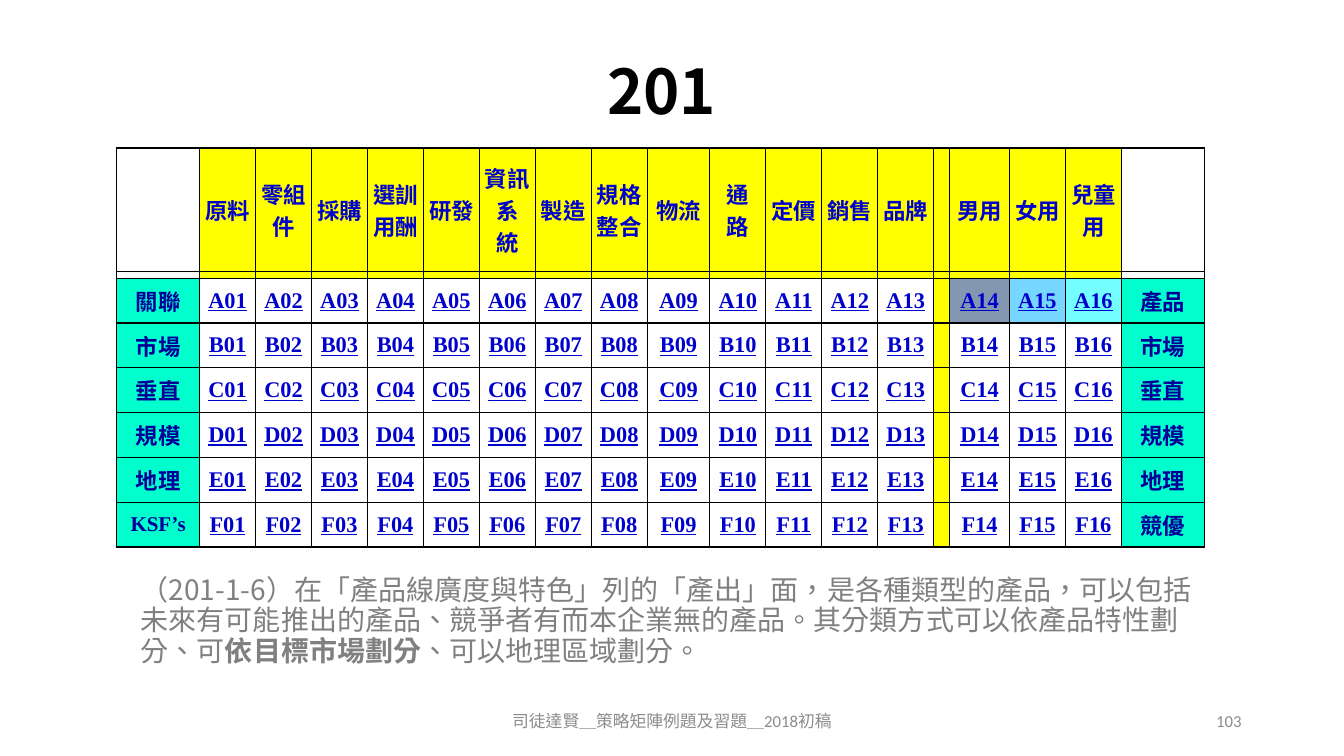
import lxml.etree
import pptx
import pptx.dml.color
import pptx.enum.text
import pptx.oxml.ns
import pptx.util

Cm = pptx.util.Cm
Pt = pptx.util.Pt
RGBColor = pptx.dml.color.RGBColor
ALIGN = pptx.enum.text.PP_ALIGN
MIDDLE = pptx.enum.text.MSO_ANCHOR.MIDDLE
qn = pptx.oxml.ns.qn

BLACK = RGBColor(0x00, 0x00, 0x00)
GREY = RGBColor(0x80, 0x80, 0x80)
FOOTER_GREY = RGBColor(0x8C, 0x8C, 0x8C)
YELLOW = RGBColor(0xFF, 0xFF, 0x00)
MINT = RGBColor(0x00, 0xFF, 0xCC)
NAVY = RGBColor(0x00, 0x00, 0x99)
LINK_BLUE = RGBColor(0x00, 0x00, 0xCC)
PRODUCT_FILLS = {
    "A14": RGBColor(0x84, 0x97, 0xB0),
    "A15": RGBColor(0x76, 0xD6, 0xFF),
    "A16": RGBColor(0x73, 0xFE, 0xFF),
}

SANS, SERIF, CJK = "Calibri", "Times New Roman", "Noto Sans CJK SC"
TABLE_GRID_STYLE = "{5940675A-B579-460E-94D1-54222C63F5DA}"

ACTIVITIES = ["原料", "零組件", "採購", "選訓用酬", "研發", "資訊\v系\v統", "製造",
              "規格整合", "物流", "通\v路", "定價", "銷售", "品牌"]
PRODUCTS = ["男用", "女用", "兒童用"]
STRATEGIES = [("關聯", "產品"), ("市場", "市場"), ("垂直", "垂直"),
              ("規模", "規模"), ("地理", "地理"), ("KSF’s", "競優")]
COLUMN_WIDTHS = ([2.09] + [1.41] * 8 + [1.58] + [1.41] * 4
                 + [0.4, 1.51] + [1.41] * 2 + [2.09])
ROW_HEIGHTS = [3.12, 0.16] + [1.13] * len(STRATEGIES)
GAP_COLUMN = 1 + len(ACTIVITIES)


def style_paragraph(para, size, name, color, align, bold=None, underline=None):
    """Set the alignment and the shared font of a paragraph."""
    para.alignment = align
    font = para.font
    font.size, font.name, font.bold = Pt(size), name, bold
    font.underline = underline
    font.color.rgb = color
    properties = para._p.pPr.find(qn("a:defRPr"))
    properties.set("lang", "zh-TW")
    lxml.etree.SubElement(properties, qn("a:ea"), typeface=CJK)


def add_borders(cell):
    """Draw a thin black line on each side of a table cell."""
    properties = cell._tc.get_or_add_tcPr()
    for index, side in enumerate(("a:lnL", "a:lnR", "a:lnT", "a:lnB")):
        line = lxml.etree.Element(qn(side), w=str(Pt(1)))
        fill = lxml.etree.SubElement(line, qn("a:solidFill"))
        lxml.etree.SubElement(fill, qn("a:srgbClr"), val=str(BLACK))
        properties.insert(index, line)


def fill_cell(cell, text, name, color, fill=None, size=16, underline=None):
    """Write one table cell with its fill, borders and text."""
    cell.margin_left = cell.margin_right = Cm(0.13)
    cell.margin_top = cell.margin_bottom = 0
    cell.vertical_anchor = MIDDLE
    if fill is None:
        cell.fill.background()
    else:
        cell.fill.solid()
        cell.fill.fore_color.rgb = fill
    add_borders(cell)
    cell.text = text
    para = cell.text_frame.paragraphs[0]
    if text:
        style_paragraph(para, size, name, color, ALIGN.CENTER, True, underline)
    else:
        lxml.etree.SubElement(para._p, qn("a:endParaRPr"), sz="100")


def add_title(page, box, text):
    """Place the slide title in its placeholder."""
    title = page.shapes.title
    title.left, title.top, title.width, title.height = map(Cm, box)
    title.text_frame.text = text
    title.text_frame.vertical_anchor = MIDDLE
    para = title.text_frame.paragraphs[0]
    para.line_spacing = 0.9
    style_paragraph(para, 44, CJK, BLACK, ALIGN.CENTER, True)


def add_matrix(page, left, top):
    """Build the strategy matrix with its headers, codes and side labels."""
    frame = page.shapes.add_table(
        len(ROW_HEIGHTS), len(COLUMN_WIDTHS), Cm(left), Cm(top),
        Cm(sum(COLUMN_WIDTHS)), Cm(sum(ROW_HEIGHTS)))
    table = frame.table
    table.first_row = table.horz_banding = False
    table._tbl.tblPr.find(qn("a:tableStyleId")).text = TABLE_GRID_STYLE
    for column, width in zip(table.columns, COLUMN_WIDTHS):
        column.width = Cm(width)
    for row, height in zip(table.rows, ROW_HEIGHTS):
        row.height = Cm(height)

    headers = [""] + ACTIVITIES + [""] + PRODUCTS + [""]
    last = len(headers) - 1
    for column, header in enumerate(headers):
        fill = None if column in (0, last) else YELLOW
        fill_cell(table.cell(0, column), header, SANS, LINK_BLUE, fill)
        fill_cell(table.cell(1, column), "", SANS, LINK_BLUE, fill)

    for row, (letter, labels) in enumerate(zip("ABCDEF", STRATEGIES), 2):
        for column, label in zip((0, last), labels):
            name, size = (SERIF, 15) if label == "KSF’s" else (SANS, 16)
            fill_cell(table.cell(row, column), label, name, NAVY, MINT, size)
        fill_cell(table.cell(row, GAP_COLUMN), "", SANS, NAVY, YELLOW)
        columns = [column for column in range(1, last) if column != GAP_COLUMN]
        for number, column in enumerate(columns, 1):
            code = f"{letter}{number:02}"
            fill_cell(table.cell(row, column), code, SERIF, LINK_BLUE,
                      PRODUCT_FILLS.get(code), underline=True)


def add_text(page, box, parts, size, name, color, align, spacing=None, anchor=None):
    """Place a one-paragraph text box made of (text, bold) parts."""
    frame = page.shapes.add_textbox(*map(Cm, box)).text_frame
    frame.word_wrap = True
    frame.vertical_anchor = anchor
    para = frame.paragraphs[0]
    para.line_spacing = spacing
    for text, bold in parts:
        span = para.add_run()
        span.text = text
        span.font.bold = bold
    style_paragraph(para, size, name, color, align)


def add_footer(page, left, top, width, height):
    """Place the centred footer and the page number at the right."""
    for text, start, span, align in [
        ("司徒達賢＿策略矩陣例題及習題＿2018初稿", 0, 11.43, ALIGN.CENTER),
        ("103", width - 7.62, 7.62, ALIGN.RIGHT),
    ]:
        add_text(page, (left + start, top, span, height), [(text, False)],
                 12, SANS, FOOTER_GREY, align, anchor=MIDDLE)


def main():
    """Build the slide and save the deck."""
    deck = pptx.Presentation()
    deck.slide_width, deck.slide_height = Cm(33.87), Cm(19.05)
    page = deck.slides.add_slide(deck.slide_layouts[5])
    add_title(page, (2.34, 1.02, 28.68, 2.72), "201")
    add_matrix(page, 2.94, 3.73)
    add_text(page, (3.3, 14.4, 27.1, 2.57), [
        ("（201-1-6）在「產品線廣度與特色」列的「產出」面，是各種類型的產品，"
         "可以包括未來有可能推出的產品、競爭者有而本企業無的產品。"
         "其分類方式可以依產品特性劃分、可", False),
        ("依目標市場劃分", True),
        ("、可以地理區域劃分。", False),
    ], 20, CJK, GREY, ALIGN.LEFT, spacing=0.9)
    add_footer(page, 11.22, 17.65, 20.32, 1.02)
    deck.save("out.pptx")


if __name__ == "__main__":
    main()
